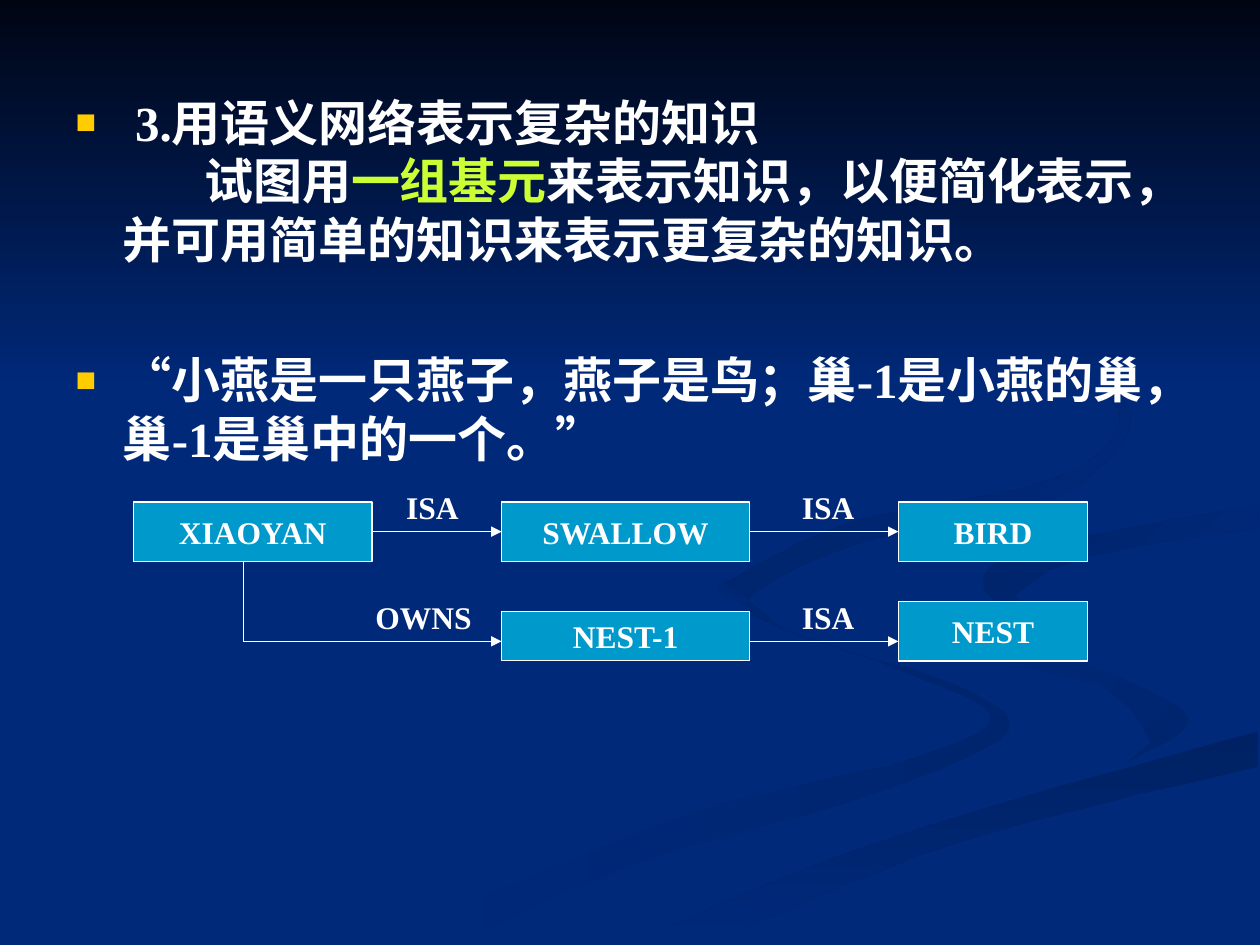
from lxml.etree import SubElement
from pptx import Presentation
from pptx.dml.color import RGBColor as RGB
from pptx.enum.lang import MSO_LANGUAGE_ID as LANG
from pptx.enum.shapes import MSO_CONNECTOR as CONN, MSO_SHAPE as SHAPE
from pptx.enum.text import MSO_ANCHOR as ANCHOR, MSO_AUTO_SIZE as AUTO, PP_ALIGN as ALIGN
from pptx.oxml.ns import qn
from pptx.util import Pt

NAVY = RGB(0x00, 0x29, 0x7A)
NIGHT = RGB(0x00, 0x05, 0x14)
WHITE = RGB(0xFF, 0xFF, 0xFF)
LIME = RGB(0xCC, 0xFF, 0x33)
GOLD = RGB(0xFF, 0xCC, 0x00)
CYAN = RGB(0x00, 0x99, 0xCC)
DUSK = RGB(0x00, 0x25, 0x6F)
SHADE = RGB(0x00, 0x22, 0x64)
DIM = RGB(0x00, 0x24, 0x6B)
DEEP = RGB(0x00, 0x23, 0x67)

STEPS = 6
RIBBONS = [
    (NAVY, DUSK, 0,
     [(414, 330), (442, 357), (502, 378), (566, 408), (523, 433), (388, 467), (216, 539)],
     [(260, 539), (359, 495), (503, 452), (576, 418), (545, 391), (462, 365), (410, 337)]),
    (NAVY, DUSK, 45,
     [(521, 334), (557, 362), (626, 382), (679, 410), (644, 436)],
     [(658, 424), (634, 395), (574, 377), (528, 351)]),
    (SHADE, NAVY, 90,
     [(362, 539), (454, 499), (550, 466), (719, 418)],
     [(719, 438), (565, 476), (454, 518), (411, 539)]),
    (DIM, NAVY, 45,
     [(719, 289), (647, 301), (576, 318), (563, 338), (595, 357)],
     [(580, 340), (618, 319), (719, 302)]),
    (DEEP, NAVY, 45,
     [(549, 168), (629, 215), (644, 248), (594, 289), (492, 310), (428, 342), (448, 360)],
     [(415, 333), (487, 298), (598, 275), (640, 241), (609, 201)]),
]

PARAGRAPHS = [
    (34, -34, 0, True, [("3.用语义网络表示复杂的知识", {})]),
    (27, 46.5, 0, False, [("试图用", {}), ("一组基元", {"color": LIME}),
                          ("来表示知识，以便简化表示，并可用简单的知识来表示更复杂的知识。", {})]),
    (27, -27, 46.5, True, [("“", {"name": "Arial"}),
                           ("小燕是一只燕子，燕子是鸟；巢-1是小燕的巢，巢-1是巢中的一个。", {}),
                           ("”", {"name": "Arial"})]),
]

COL_1, COL_2, COL_3 = 76.3, 286.6, 513.4
WIDE_1, WIDE_2, WIDE_3 = 136.3, 141.8, 108
TOP_ROW, LOW_ROW, STEM = 303.8, 366.5, 139
NODE_TOP, NODE_HEIGHT = 286.8, 34
NODES = [("XIAOYAN", COL_1, NODE_TOP, WIDE_1, NODE_HEIGHT),
         ("SWALLOW", COL_2, NODE_TOP, WIDE_2, NODE_HEIGHT),
         ("BIRD", COL_3, NODE_TOP, WIDE_3, NODE_HEIGHT),
         ("NEST-1", COL_2, 349.4, WIDE_2, 28),
         ("NEST", COL_3, 343.7, WIDE_3, NODE_HEIGHT)]
LINKS = [(COL_1 + WIDE_1, TOP_ROW, COL_2, TOP_ROW, True),
         (COL_2 + WIDE_2, TOP_ROW, COL_3, TOP_ROW, True),
         (COL_2 + WIDE_2, LOW_ROW, COL_3, LOW_ROW, True),
         (STEM, NODE_TOP + NODE_HEIGHT, STEM, LOW_ROW, False),
         (STEM, LOW_ROW, COL_2, LOW_ROW, True)]
LABEL_1, LABEL_2, LABEL_RISE = 207.4, 433.6, 28.3
LABELS = [("ISA", LABEL_1, TOP_ROW, 24.6), ("ISA", LABEL_2, TOP_ROW, 24.6),
          ("ISA", LABEL_2, LOW_ROW, 24.6), ("OWNS", LABEL_1, LOW_ROW, 7.2)]


def spline(a, b, c, d, t):
    """Return the point at t on the smooth curve from b to c."""
    return (2 * b + (c - a) * t + (2 * a - 5 * b + 4 * c - d) * t ** 2
            + (3 * b - a - 3 * c + d) * t ** 3) / 2


def smooth(points):
    """Return a dense smooth line through the points."""
    ends = [points[0], *points, points[-1]]
    line = [tuple(spline(*axis, i / STEPS) for axis in zip(*ends[k:k + 4]))
            for k in range(len(points) - 1) for i in range(STEPS)]
    return line + [points[-1]]


class Deck:
    """Holds the text style and the current slide, and draws each kind of element."""

    def __init__(self):
        self.prs = Presentation()
        self.prs.slide_width, self.prs.slide_height = Pt(720), Pt(540)
        self.s = self.prs.slides.add_slide(self.prs.slide_layouts[1])
        self.style = {"name": "Times New Roman", "bold": True, "color": WHITE}
        fill = self.s.background.fill
        fill.solid()
        fill.fore_color.rgb = NAVY

    def run(self, p, text, **fmt):
        r = p.add_run()
        r.text = text
        for key, value in {**self.style, **fmt}.items():
            if key == "color":
                r.font.color.rgb = value
            else:
                setattr(r.font, key, value)

    def shade(self, sp, start, end, angle):
        sp.shadow.inherit = False
        sp.line.fill.background()
        sp.fill.gradient()
        sp.fill.gradient_angle = -angle % 360
        for stop, color in zip(sp.fill.gradient_stops, (start, end)):
            stop.color.rgb = color

    def ribbon(self, start, end, angle, near, far):
        points = smooth(near) + smooth(far)
        builder = self.s.shapes.build_freeform(*points[0], scale=Pt(1))
        builder.add_line_segments(points[1:], close=True)
        self.shade(builder.convert_to_shape(), start, end, angle)

    def band(self, height):
        sp = self.s.shapes.add_shape(SHAPE.RECTANGLE, 0, 0, Pt(720), Pt(height))
        self.shade(sp, NIGHT, NAVY, 90)

    def bullet(self, p_pr):
        color = SubElement(p_pr, qn("a:buClr"))
        SubElement(color, qn("a:srgbClr"), val=str(GOLD))
        SubElement(p_pr, qn("a:buSzPct"), val="70000")
        SubElement(p_pr, qn("a:buFont"), typeface="Arial")
        SubElement(p_pr, qn("a:buChar"), char="■")

    def body(self, paragraphs):
        title, sp = self.s.shapes.title, self.s.placeholders[1]
        title.element.getparent().remove(title.element)
        sp.element.getparent().append(sp.element)
        sp.left, sp.top, sp.width, sp.height = Pt(36), Pt(49), Pt(658.8), Pt(433.4)
        tf = sp.text_frame
        tf.auto_size = AUTO.NONE
        for i, (margin, indent, before, marked, runs) in enumerate(paragraphs):
            p = tf.add_paragraph() if i else tf.paragraphs[0]
            p_pr = p._p.get_or_add_pPr()
            p_pr.set("marL", str(Pt(margin)))
            p_pr.set("indent", str(Pt(indent)))
            if marked:
                self.bullet(p_pr)
            else:
                SubElement(p_pr, qn("a:buNone"))
            p.space_before = Pt(before)
            for text, fmt in runs:
                self.run(p, text, size=Pt(28), language_id=LANG.SIMPLIFIED_CHINESE, **fmt)

    def node(self, text, *box):
        sp = self.s.shapes.add_shape(SHAPE.RECTANGLE, *map(Pt, box))
        sp.shadow.inherit = False
        sp.fill.solid()
        sp.fill.fore_color.rgb = CYAN
        sp.line.color.rgb = WHITE
        sp.line.width = Pt(0.75)
        tf = sp.text_frame
        tf.word_wrap = False
        tf.vertical_anchor = ANCHOR.MIDDLE
        p = tf.paragraphs[0]
        p.alignment = ALIGN.CENTER
        self.run(p, text, size=Pt(18))

    def link(self, x1, y1, x2, y2, arrow):
        sp = self.s.shapes.add_connector(CONN.STRAIGHT, *map(Pt, (x1, y1, x2, y2)))
        sp.line.color.rgb = WHITE
        sp.line.width = Pt(0.75)
        if arrow:
            SubElement(sp.line._get_or_add_ln(), qn("a:tailEnd"), type="triangle")
        SubElement(sp.element.spPr, qn("a:effectLst"))

    def label(self, text, left, row, margin):
        sp = self.s.shapes.add_textbox(Pt(left), Pt(row - LABEL_RISE), Pt(73.4), Pt(28.8))
        tf = sp.text_frame
        tf.word_wrap = True
        tf.margin_left = Pt(margin)
        self.run(tf.paragraphs[0], text, size=Pt(18))


def main():
    deck = Deck()
    for ribbon in RIBBONS:
        deck.ribbon(*ribbon)
    deck.band(222)
    deck.body(PARAGRAPHS)
    for node in NODES:
        deck.node(*node)
    for link in LINKS:
        deck.link(*link)
    for label in LABELS:
        deck.label(*label)
    deck.prs.save("out.pptx")


if __name__ == "__main__":
    main()
